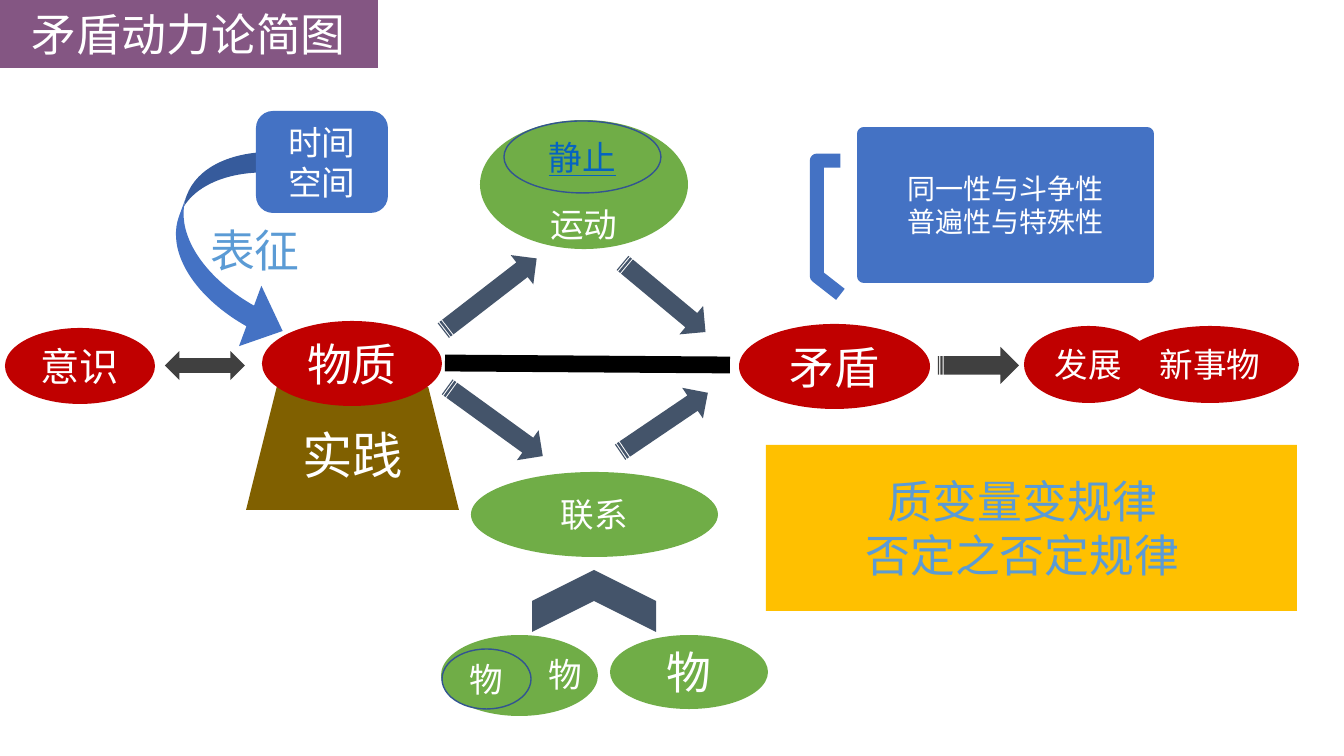
from lxml import etree
from pptx import Presentation
from pptx.dml.color import RGBColor
from pptx.enum.shapes import MSO_CONNECTOR, MSO_SHAPE
from pptx.enum.text import MSO_ANCHOR, MSO_AUTO_SIZE, PP_ALIGN
from pptx.oxml.ns import qn
from pptx.util import Emu, Pt

OVAL = MSO_SHAPE.OVAL
STRIPED_ARROW = MSO_SHAPE.STRIPED_RIGHT_ARROW
CENTER, LEFT = PP_ALIGN.CENTER, PP_ALIGN.LEFT
MIDDLE, TOP = MSO_ANCHOR.MIDDLE, MSO_ANCHOR.TOP
NO_AUTOFIT = MSO_AUTO_SIZE.NONE

WHITE = RGBColor(0xFF, 0xFF, 0xFF)
BLACK = RGBColor(0x00, 0x00, 0x00)
PURPLE = RGBColor(0x5A, 0x1B, 0x58)
BROWN = RGBColor(0x80, 0x60, 0x00)
RED = RGBColor(0xC0, 0x00, 0x00)
GREEN = RGBColor(0x70, 0xAD, 0x47)
BLUE = RGBColor(0x44, 0x72, 0xC4)
OUTLINE_BLUE = RGBColor(0x32, 0x54, 0x91)
LINK_BLUE = RGBColor(0x05, 0x63, 0xC1)
LIGHT_BLUE = RGBColor(0x5B, 0x9B, 0xD5)
SLATE = RGBColor(0x44, 0x54, 0x6A)
GRAY = RGBColor(0x40, 0x40, 0x40)
GOLD = RGBColor(0xFF, 0xC0, 0x00)

FONT = "Noto Sans CJK SC"
SLIDE_SIZE = (1344, 756)
EMU_PER_PX = 914400 / 100.8

TITLE = "矛盾动力论简图"
TITLE_BOX = (0, 0, 378, 68)
AXIS = (445, 363, 730, 365)

SHAPES = [
    (MSO_SHAPE.TRAPEZOID, (246, 387, 213, 123), BROWN, dict(text="实践", size=36)),
    (OVAL, (5, 328, 150, 76), RED, dict(text="意识", size=28)),
    (MSO_SHAPE.LEFT_RIGHT_ARROW, (165, 351, 80, 29), GRAY, {}),
    (OVAL, (480, 120, 208, 129), GREEN, dict(text="运动", top_inset=80, bottom_inset=0)),
    (OVAL, (504, 121, 157, 72), GREEN,
     dict(text="静止", color=LINK_BLUE, underline=True, line=(OUTLINE_BLUE, 1))),
    (OVAL, (739, 324, 191, 85), RED, dict(text="矛盾", size=32)),
    (OVAL, (1024, 326, 129, 77), RED, dict(text="发展")),
    (OVAL, (1121, 326, 178, 77), RED, dict(text="新事物")),
    (OVAL, (471, 472, 247, 85), GREEN, dict(text="联系")),
    (OVAL, (441, 635, 157, 81), GREEN, {}),
    (OVAL, (442, 649, 89, 60), GREEN, dict(text="物", line=(OUTLINE_BLUE, 1))),
    (None, (539, 649, 42, 50), None, dict(text="物", align=LEFT, anchor=TOP)),
    (OVAL, (610, 635, 158, 74), GREEN, dict(text="物", size=32)),
    (STRIPED_ARROW, (611, 404, 106, 37), SLATE, dict(rotation=325.9)),
    (MSO_SHAPE.CHEVRON, (563, 539, 62, 124), SLATE, dict(rotation=270)),
    (STRIPED_ARROW, (938, 347, 81, 37), GRAY, {}),
    (MSO_SHAPE.CURVED_RIGHT_ARROW, (175, 135, 137, 209), BLUE,
     dict(rotation=20.3, adjustments=(0.16, 0.47, 0.26))),
    (None, (162, 218, 186, 64), None,
     dict(text="表征", size=32, color=LIGHT_BLUE, anchor=TOP)),
    (STRIPED_ARROW, (431, 276, 118, 37), SLATE, dict(rotation=322.3)),
    (STRIPED_ARROW, (610, 279, 108, 37), SLATE, dict(rotation=39.8)),
    (MSO_SHAPE.ROUNDED_RECTANGLE, (256, 111, 132, 102), BLUE, dict(text="时间\n空间")),
    (STRIPED_ARROW, (436, 403, 118, 37), SLATE, dict(rotation=35.9)),
    (MSO_SHAPE.LINE_CALLOUT_3, (864, 134, 283, 142), BLUE,
     dict(text="同一性与斗争性\n普遍性与特殊性", size=20, line=(BLUE, 10))),
    (MSO_SHAPE.RECTANGLE, (766, 445, 531, 166), GOLD, {}),
    (None, (821, 469, 403, 119), None,
     dict(text="质变量变规律\n否定之否定规律", size=32, color=LIGHT_BLUE, anchor=TOP)),
    (OVAL, (262, 321, 180, 85), RED, dict(text="物质", size=32)),
]


def px(value):
    return Emu(round(value * EMU_PER_PX))


def write_text(shape, text, size=24, color=WHITE, align=CENTER, anchor=MIDDLE,
               underline=None, top_inset=5, bottom_inset=5):
    frame = shape.text_frame
    frame.auto_size = NO_AUTOFIT
    frame.word_wrap = True
    frame.vertical_anchor = anchor
    frame.margin_left = frame.margin_right = px(10)
    frame.margin_top, frame.margin_bottom = px(top_inset), px(bottom_inset)
    frame.text = text
    for paragraph in frame.paragraphs:
        paragraph.alignment = align
        for run in paragraph.runs:
            run.font.size = Pt(size)
            run.font.color.rgb = color
            run.font.underline = underline
            run.font.name = FONT
            latin = run._r.rPr.find(qn("a:latin"))
            latin.addnext(etree.Element(qn("a:ea"), typeface=FONT))


def add_title(slide):
    title = slide.shapes.title
    title.left, title.top, title.width, title.height = map(px, TITLE_BOX)
    geometry = etree.SubElement(title._element.spPr, qn("a:prstGeom"), prst="homePlate")
    etree.SubElement(geometry, qn("a:avLst"))
    title.fill.solid()
    title.fill.fore_color.rgb = PURPLE
    color = title._element.spPr.find(qn("a:solidFill"))[0]
    etree.SubElement(color, qn("a:alpha"), val="74000")
    write_text(title, TITLE, size=32)


def add_item(slide, kind, box, fill, text=None, line=None, rotation=0,
             adjustments=(), **text_format):
    place = [px(value) for value in box]
    if kind is None:
        shape = slide.shapes.add_textbox(*place)
    else:
        shape = slide.shapes.add_shape(kind, *place)
        shape.shadow.inherit = False
        shape.fill.solid()
        shape.fill.fore_color.rgb = fill
        shape.rotation = rotation
        for index, value in enumerate(adjustments):
            shape.adjustments[index] = value
        if line:
            shape.line.color.rgb = line[0]
            shape.line.width = Pt(line[1])
        else:
            shape.line.fill.background()
    if text:
        write_text(shape, text, **text_format)


def add_axis(slide):
    axis = slide.shapes.add_connector(MSO_CONNECTOR.STRAIGHT, *map(px, AXIS))
    axis.line.color.rgb = BLACK
    axis.line.width = Pt(12)
    etree.SubElement(axis._element.spPr, qn("a:effectLst"))


def main():
    presentation = Presentation()
    presentation.slide_width, presentation.slide_height = map(px, SLIDE_SIZE)
    slide = presentation.slides.add_slide(presentation.slide_layouts[5])
    add_title(slide)
    add_axis(slide)
    for kind, box, fill, options in SHAPES:
        add_item(slide, kind, box, fill, **options)
    presentation.save("out.pptx")


if __name__ == "__main__":
    main()
